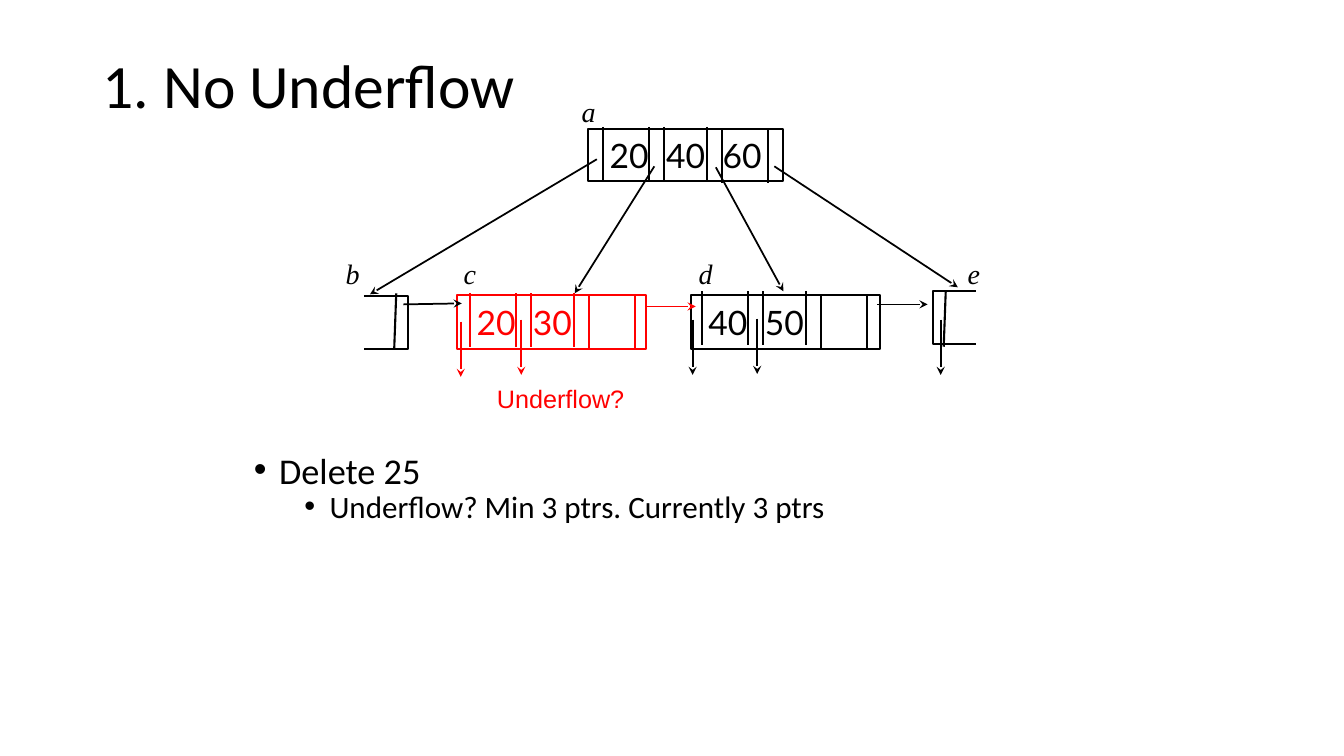
"""Build the B+ tree slide on deletion without underflow."""
from lxml import etree
from pptx import Presentation
from pptx.dml.color import RGBColor
from pptx.enum.shapes import MSO_CONNECTOR, MSO_SHAPE
from pptx.enum.text import MSO_ANCHOR, PP_ALIGN
from pptx.oxml.ns import qn
from pptx.util import Inches, Pt

STRAIGHT = MSO_CONNECTOR.STRAIGHT
RECTANGLE = MSO_SHAPE.RECTANGLE
TOP, MIDDLE = MSO_ANCHOR.TOP, MSO_ANCHOR.MIDDLE
LEFT, CENTER = PP_ALIGN.LEFT, PP_ALIGN.CENTER
BLACK, RED = "000000", "FF0000"

TITLE = "1. No Underflow"
BULLETS = [
    ("Delete 25", 25.9, 0.25, 0),
    ("Underflow? Min 3 ptrs. Currently 3 ptrs", 22.2, 0.75, 5),
]
NODES = [
    ((5.83, 1.28, 1.94, 0.52), 5.98, 1.26, ["20", "40", "60"], BLACK),
    ((4.53, 2.93, 1.88, 0.53), 4.66, 2.91, ["20", "30"], RED),
    ((6.85, 2.93, 1.88, 0.53), 6.96, 2.89, ["40", "50"], BLACK),
]
CUT_NODES = [
    ([(3.61, 2.94), (4.05, 2.94), (4.05, 3.46), (3.61, 3.46)], (3.93, 2.91, 3.91, 3.46)),
    ([(9.68, 3.41), (9.25, 3.41), (9.25, 2.89), (9.68, 2.89)], (9.36, 3.44, 9.38, 2.89)),
]
NODE_NAMES = [("a", 5.67, 0.89), ("b", 3.33, 2.5), ("c", 4.5, 2.5), ("d", 6.83, 2.5), ("e", 9.5, 2.5)]
CHILD_POINTERS = [
    (5.92, 1.58, 3.67, 2.92),
    (6.49, 1.65, 5.7, 2.91),
    (7.1, 1.66, 7.77, 2.89),
    (7.68, 1.65, 9.5, 2.85),
]
SIBLING_POINTERS = [
    ((4, 3.02, 4.58, 3.01), BLACK),
    ((6.4, 3.04, 6.9, 3.04), RED),
    ((8.7, 3.02, 9.2, 3.02), BLACK),
]
RECORD_POINTERS = [(4.57, 3.19, RED), (5.17, 3.17, RED), (6.87, 3.17, BLACK), (7.51, 3.16, BLACK), (9.33, 3.17, BLACK)]
RECORD_POINTER_LENGTH = 0.55
DIVIDERS = [(0, 0), (0.46, 0), (0.61, 0), (1.03, 0), (1.18, 0.03), (1.64, 0.03)]
DIVIDER_HEIGHT = 0.53
KEY_CENTER, KEY_PITCH, KEY_WIDTH = 0.26, 0.56, 0.6

deck = Presentation()
deck.slide_width, deck.slide_height = Inches(13.33), Inches(7.5)
slide = deck.slides.add_slide(deck.slide_layouts[6])


def rgb(color):
    return RGBColor.from_string(color)


def style_run(paragraph, text, size, font, color, italic=False):
    run = paragraph.add_run()
    run.text = text
    run.font.size = Pt(size)
    run.font.name = font
    run.font.italic = italic
    run.font.color.rgb = rgb(color)


def add_text(text, box, size, font, color=BLACK, italic=False, align=LEFT,
             anchor=TOP, wrap=False, spacing=1.0):
    frame = slide.shapes.add_textbox(*map(Inches, box)).text_frame
    frame.word_wrap = wrap
    frame.vertical_anchor = anchor
    paragraph = frame.paragraphs[0]
    paragraph.alignment = align
    paragraph.line_spacing = spacing
    style_run(paragraph, text, size, font, color, italic)


def add_line(ends, color=BLACK, width=1.5, arrow=False):
    line = slide.shapes.add_connector(STRAIGHT, *map(Inches, ends))
    line.line.color.rgb = rgb(color)
    line.line.width = Pt(width)
    if arrow:
        etree.SubElement(line.line._get_or_add_ln(), qn("a:tailEnd"), type="stealth")
    etree.SubElement(line._element.spPr, qn("a:effectLst"))


def outline(shape, color):
    shape.shadow.inherit = False
    shape.fill.background()
    shape.line.color.rgb = rgb(color)
    shape.line.width = Pt(1.5)


def add_node(box, first_divider, divider_top, keys, color):
    outline(slide.shapes.add_shape(RECTANGLE, *map(Inches, box)), color)
    for offset, drop in DIVIDERS:
        x, y = first_divider + offset, divider_top + drop
        add_line((x, y, x, y + DIVIDER_HEIGHT), color)
    for index, key in enumerate(keys):
        left = first_divider + KEY_CENTER + index * KEY_PITCH - KEY_WIDTH / 2
        add_text(key, (left, box[1], KEY_WIDTH, box[3]), 24, "Lato", color,
                 align=CENTER, anchor=MIDDLE)


def add_cut_node(corners, divider):
    points = [(Inches(x), Inches(y)) for x, y in corners]
    builder = slide.shapes.build_freeform(*points[0])
    builder.add_line_segments(points[1:], close=False)
    outline(builder.convert_to_shape(), BLACK)
    add_line(divider)


def add_bullets(box):
    frame = slide.shapes.add_textbox(*map(Inches, box)).text_frame
    frame.word_wrap = True
    for level, (text, size, indent, space) in enumerate(BULLETS):
        paragraph = frame.add_paragraph() if level else frame.paragraphs[0]
        paragraph.level = level
        paragraph.line_spacing = 0.7
        paragraph.space_before = Pt(space)
        properties = paragraph._p.get_or_add_pPr()
        properties.set("marL", str(Inches(indent)))
        properties.set("indent", str(-Inches(0.25)))
        etree.SubElement(properties, qn("a:buFont"), typeface="Arial")
        etree.SubElement(properties, qn("a:buChar"), char="•")
        style_run(paragraph, text, size, "Calibri", BLACK)


def main():
    add_text(TITLE, (0.92, 0.33, 11.5, 1.09), 44, "Calibri", anchor=MIDDLE, wrap=True, spacing=0.9)
    add_bullets((2.42, 4.52, 8.5, 2.15))
    for node in NODES:
        add_node(*node)
    for cut_node in CUT_NODES:
        add_cut_node(*cut_node)
    for ends in CHILD_POINTERS:
        add_line(ends, width=1.25, arrow=True)
    for ends, color in SIBLING_POINTERS:
        add_line(ends, color, 1.25, True)
    for x, y, color in RECORD_POINTERS:
        add_line((x, y, x, y + RECORD_POINTER_LENGTH), color, 1.25, True)
    for name, left, top in NODE_NAMES:
        add_text(name, (left, top, 0.34, 0.43), 20, "Times New Roman", italic=True)
    add_text("Underflow?", (4.83, 3.75, 1.47, 0.4), 18, "Arial", RED)
    deck.save("out.pptx")


if __name__ == "__main__":
    main()
